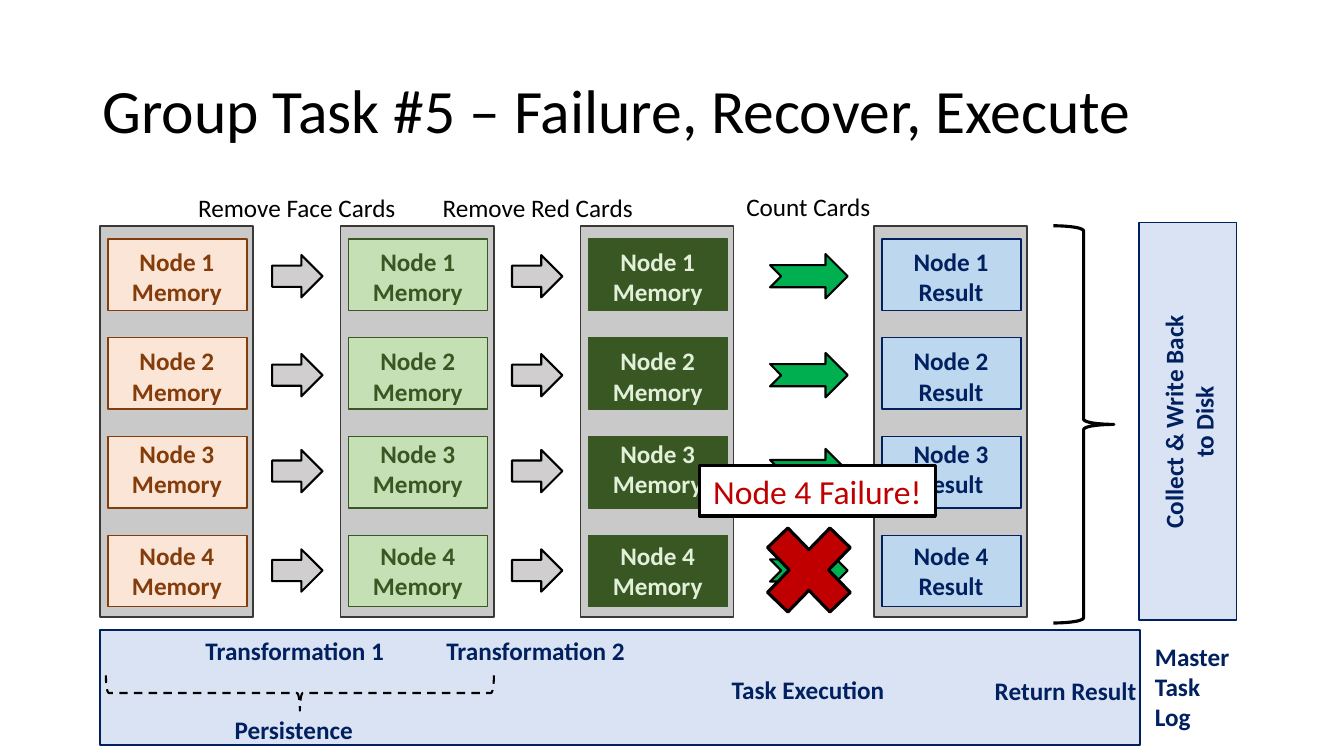
from dataclasses import dataclass

from pptx import Presentation
from pptx.dml.color import RGBColor
from pptx.enum.dml import MSO_LINE
from pptx.enum.shapes import MSO_SHAPE
from pptx.enum.text import MSO_ANCHOR, PP_ALIGN
from pptx.shapes.autoshape import Shape
from pptx.util import Pt

BLACK = RGBColor(0x00, 0x00, 0x00)
WHITE = RGBColor(0xFF, 0xFF, 0xFF)
NAVY = RGBColor(0x00, 0x20, 0x60)
PALE_BLUE = RGBColor(0xDA, 0xE3, 0xF3)
SKY = RGBColor(0xBD, 0xD7, 0xEE)
PANEL_GRAY = RGBColor(0xC9, 0xC9, 0xC9)
CHARCOAL = RGBColor(0x3B, 0x38, 0x38)
ARROW_GRAY = RGBColor(0xD0, 0xCE, 0xCE)
PEACH = RGBColor(0xFB, 0xE5, 0xD6)
BROWN = RGBColor(0x84, 0x3C, 0x0B)
LIGHT_GREEN = RGBColor(0xC5, 0xE0, 0xB4)
PALE_GREEN = RGBColor(0xE2, 0xF0, 0xD9)
DARK_GREEN = RGBColor(0x38, 0x57, 0x23)
GREEN = RGBColor(0x00, 0xB0, 0x50)
RED = RGBColor(0xC0, 0x00, 0x00)

FONT = "Calibri"
PANEL_TOP, PANEL_W, PANEL_H = 161.28, 109.44, 279.36
BOX_TOP, BOX_STEP, BOX_W, BOX_H = 170.64, 70.56, 99.36, 51.12
LABEL_TOPS = (172.08, 243.36, 309.6, 382.32)
LABEL_W = 88.56
ARROW_MIDDLES = (197.3, 268, 336.5, 407.5)


@dataclass(frozen=True)
class NodeColumn:
    left: float
    caption: str
    fill: RGBColor
    line: RGBColor
    text: RGBColor


@dataclass(frozen=True)
class ArrowColumn:
    left: float
    width: float
    height: float
    kind: MSO_SHAPE
    fill: RGBColor


@dataclass(frozen=True)
class Label:
    text: str
    left: float
    top: float
    width: float


NODE_COLUMNS = (
    NodeColumn(71.28, "Memory", PEACH, BROWN, BROWN),
    NodeColumn(243.36, "Memory", LIGHT_GREEN, DARK_GREEN, DARK_GREEN),
    NodeColumn(414.72, "Memory", DARK_GREEN, DARK_GREEN, PALE_GREEN),
    NodeColumn(624.24, "Result", SKY, NAVY, NAVY),
)
ARROW_COLUMNS = (
    ArrowColumn(194.4, 36, 30.24, MSO_SHAPE.RIGHT_ARROW, ARROW_GRAY),
    ArrowColumn(365.76, 36, 30.24, MSO_SHAPE.RIGHT_ARROW, ARROW_GRAY),
    ArrowColumn(550.08, 55.44, 31.68, MSO_SHAPE.NOTCHED_RIGHT_ARROW, GREEN),
)
STEP_LABELS = (
    Label("Remove Face Cards", 128.16, 133.92, 167.76),
    Label("Remove Red Cards", 300.24, 133.92, 167.76),
    Label("Count Cards", 523.44, 133.2, 108),
)
LOG_LABELS = (
    Label("Transformation 1", 139.68, 450, 144),
    Label("Transformation 2", 311.76, 450, 144),
    Label("Persistence", 160.56, 506.88, 103.68),
    Label("Task Execution", 515.52, 478.08, 123.84),
    Label("Return Result", 703.44, 478.8, 123.84),
    Label("Master\nTask\nLog", 817.92, 454.32, 77.76),
)

prs = Presentation()
prs.slide_width, prs.slide_height = Pt(960), Pt(540)
s = prs.slides.add_slide(prs.slide_layouts[6])


def add_shape(kind: MSO_SHAPE, left: float, top: float, width: float, height: float,
              fill: RGBColor | None, line: RGBColor, weight: float = 1,
              rotation: float = 0) -> Shape:
    sp = s.shapes.add_shape(kind, Pt(left), Pt(top), Pt(width), Pt(height))
    sp.shadow.inherit = False
    if fill is None:
        sp.fill.background()
    else:
        sp.fill.solid()
        sp.fill.fore_color.rgb = fill
    sp.line.color.rgb = line
    sp.line.width = Pt(weight)
    sp.rotation = rotation
    return sp


def write(sp: Shape, text: str, *, size: float = 18, color: RGBColor = NAVY,
          bold: bool = True, align: PP_ALIGN = PP_ALIGN.LEFT,
          anchor: MSO_ANCHOR = MSO_ANCHOR.TOP, wrap: bool = True,
          spacing: float = 1) -> None:
    """Fill a shape with one paragraph per line of text."""
    tf = sp.text_frame
    tf.word_wrap = wrap
    tf.vertical_anchor = anchor
    for i, line in enumerate(text.split("\n")):
        p = tf.paragraphs[0] if i == 0 else tf.add_paragraph()
        p.alignment = align
        p.line_spacing = spacing
        r = p.add_run()
        r.text = line
        r.font.name = FONT
        r.font.size = Pt(size)
        r.font.bold = bold
        r.font.color.rgb = color


def add_box(left: float, top: float, width: float, height: float) -> Shape:
    return s.shapes.add_textbox(Pt(left), Pt(top), Pt(width), Pt(height))


def add_node_column(col: NodeColumn) -> None:
    add_shape(MSO_SHAPE.RECTANGLE, col.left, PANEL_TOP, PANEL_W, PANEL_H,
              PANEL_GRAY, CHARCOAL)
    for i, label_top in enumerate(LABEL_TOPS):
        add_shape(MSO_SHAPE.RECTANGLE, col.left + 5.76, BOX_TOP + i * BOX_STEP,
                  BOX_W, BOX_H, col.fill, col.line)
        write(add_box(col.left + 10.8, label_top, LABEL_W, BOX_H),
              f"Node {i + 1}\n{col.caption}", color=col.text, align=PP_ALIGN.CENTER)


def add_arrow_column(col: ArrowColumn) -> None:
    for middle in ARROW_MIDDLES:
        add_shape(col.kind, col.left, middle - col.height / 2, col.width, col.height,
                  col.fill, BLACK, 1.5)


def main() -> None:
    add_shape(MSO_SHAPE.RECTANGLE, 71.28, 450, 743.04, 82.08, PALE_BLUE, NAVY)
    write(add_box(66.24, 28.8, 828, 104.4), "Group Task #5 – Failure, Recover, Execute",
          size=44, color=BLACK, bold=False, anchor=MSO_ANCHOR.MIDDLE, spacing=0.9)

    for col in NODE_COLUMNS:
        add_node_column(col)
    for arrows in ARROW_COLUMNS:
        add_arrow_column(arrows)

    add_shape(MSO_SHAPE.LEFT_BRACE, 752.4, 161.28, 43.2, 283.68, None, BLACK, 2.25, 180)
    add_shape(MSO_SHAPE.RECTANGLE, 813.6, 159.12, 69.84, 283.68, PALE_BLUE, NAVY)
    collect = add_box(758.16, 275.76, 182.16, 51.12)
    collect.rotation = 270
    write(collect, "Collect & Write Back to Disk", align=PP_ALIGN.CENTER)

    persistence = add_shape(MSO_SHAPE.RIGHT_BRACE, 201.6, 356.4, 25.2, 277.2,
                            None, BLACK, 1.5, 90)
    persistence.line.dash_style = MSO_LINE.DASH
    for label in LOG_LABELS:
        height = 7.2 + 21.6 * len(label.text.split("\n"))
        write(add_box(label.left, label.top, label.width, height), label.text)
    for label in STEP_LABELS:
        write(add_box(label.left, label.top, label.width, 28.8), label.text,
              color=BLACK, bold=False, align=PP_ALIGN.CENTER)

    add_shape(MSO_SHAPE.MATH_MULTIPLY, 534.96, 362.88, 85.68, 88.56, RED, BLACK, 2.25)
    failure = add_shape(MSO_SHAPE.RECTANGLE, 499.68, 332.64, 168.48, 36,
                        WHITE, BLACK, 2.25)
    write(failure, "Node 4 Failure!", size=24, color=RED, bold=False,
          align=PP_ALIGN.CENTER, wrap=False)

    prs.save("out.pptx")


if __name__ == "__main__":
    main()
